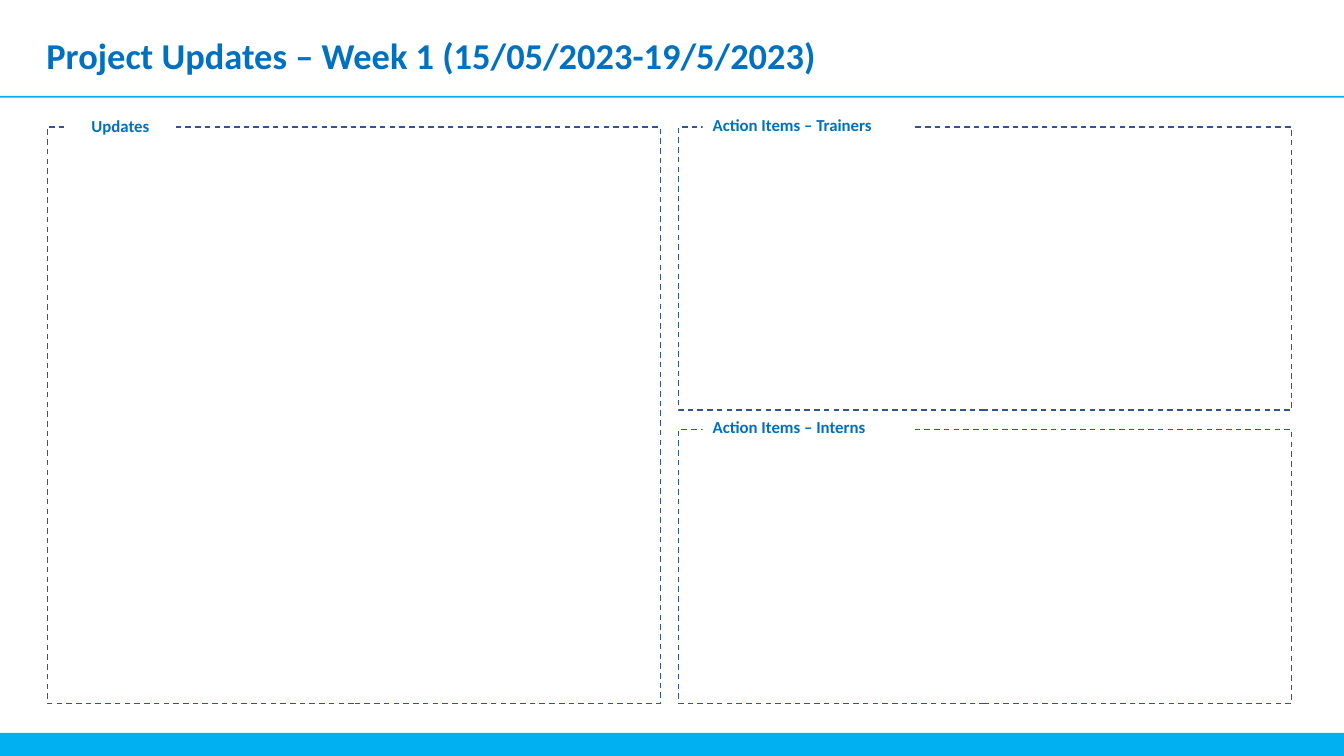
from pptx import Presentation
from pptx.dml.color import RGBColor
from pptx.enum.dml import MSO_LINE
from pptx.enum.shapes import MSO_SHAPE
from pptx.enum.text import MSO_ANCHOR, PP_ALIGN
from pptx.util import Inches, Pt

SKY = RGBColor(0x00, 0xB0, 0xF0)
BLUE = RGBColor(0x00, 0x70, 0xC0)
NAVY = RGBColor(0x32, 0x54, 0x91)
WHITE = RGBColor(0xFF, 0xFF, 0xFF)
FONT = "Calibri"
SLIDE_WIDTH, SLIDE_HEIGHT = 13.33, 7.5


def add_rectangle(slide, left, top, width, height, fill=None):
    """Add a plain rectangle with an optional fill and no outline."""
    shape = slide.shapes.add_shape(
        MSO_SHAPE.RECTANGLE, Inches(left), Inches(top), Inches(width), Inches(height)
    )
    shape.shadow.inherit = False
    shape.line.fill.background()
    if fill is None:
        shape.fill.background()
    else:
        shape.fill.solid()
        shape.fill.fore_color.rgb = fill
    return shape


def write_text(shape, text, size, alignment=PP_ALIGN.LEFT):
    """Write one bold blue line at the top of a shape."""
    frame = shape.text_frame
    frame.word_wrap = True
    frame.vertical_anchor = MSO_ANCHOR.TOP
    paragraph = frame.paragraphs[0]
    paragraph.alignment = alignment
    paragraph.line_spacing = 1.0
    paragraph.space_before = Pt(0)
    run = paragraph.add_run()
    run.text = text
    run.font.name = FONT
    run.font.size = Pt(size)
    run.font.bold = True
    run.font.color.rgb = BLUE


def add_header(slide, left, top, width, height, text):
    """Place the title over the full-width rule."""
    add_rectangle(slide, 0, top + 0.67, SLIDE_WIDTH, 0.02, SKY)
    title = slide.shapes.title
    title.left, title.top = Inches(left), Inches(top)
    title.width, title.height = Inches(width), Inches(height)
    write_text(title, text, 26)


def add_footer(slide, height):
    """Draw the band along the bottom edge."""
    add_rectangle(slide, 0, SLIDE_HEIGHT - height, SLIDE_WIDTH, height, SKY)


def add_panel(slide, left, top, width, height, label, label_box, alignment):
    """Draw a dashed panel whose label interrupts the top border."""
    panel = add_rectangle(slide, left, top, width, height)
    panel.line.color.rgb = NAVY
    panel.line.width = Pt(1)
    panel.line.dash_style = MSO_LINE.DASH
    indent, rise, label_width = label_box
    tag = add_rectangle(slide, left + indent, top - rise, label_width, 0.3, WHITE)
    write_text(tag, label, 12, alignment)


def main():
    """Build the weekly project update slide."""
    presentation = Presentation()
    presentation.slide_width = Inches(SLIDE_WIDTH)
    presentation.slide_height = Inches(SLIDE_HEIGHT)
    slide = presentation.slides.add_slide(presentation.slide_layouts[5])

    add_footer(slide, 0.23)
    add_header(
        slide, 0.36, 0.28, 11.82, 0.98, "Project Updates – Week 1 (15/05/2023-19/5/2023)"
    )

    top, bottom, panel_width = 1.26, 6.98, 6.08
    left_column, right_column, interns_top = 0.47, 6.73, 4.26
    action_label = (0.24, 0.17, 2.1)
    add_panel(
        slide, left_column, top, panel_width, bottom - top,
        "Updates", (0.19, 0.16, 1.07), PP_ALIGN.CENTER,
    )
    add_panel(
        slide, right_column, interns_top, panel_width, bottom - interns_top,
        "Action Items – Interns", action_label, PP_ALIGN.LEFT,
    )
    add_panel(
        slide, right_column, top, panel_width, 2.81,
        "Action Items – Trainers", action_label, PP_ALIGN.LEFT,
    )
    presentation.save("out.pptx")


if __name__ == "__main__":
    main()
